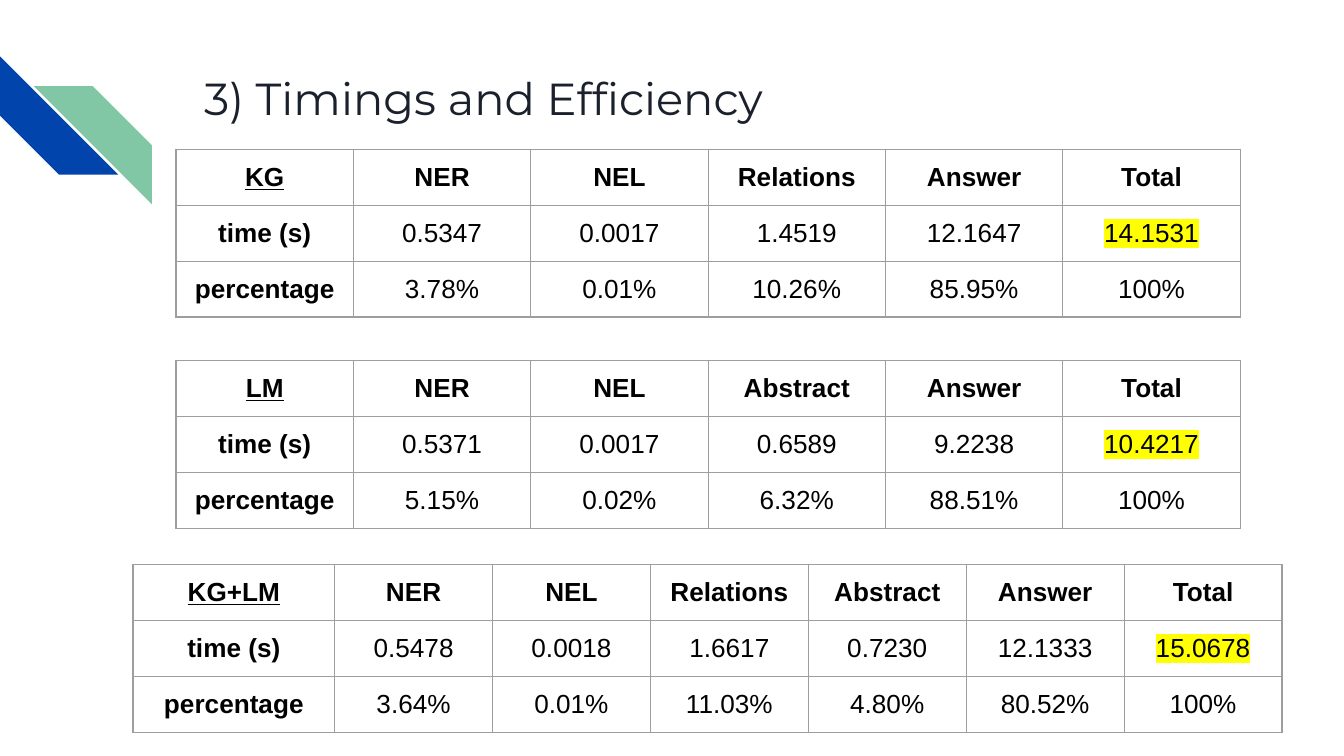
"""Build the timings and efficiency slide with three timing tables."""
from lxml import etree
from pptx import Presentation
from pptx.dml.color import RGBColor
from pptx.enum.shapes import MSO_SHAPE
from pptx.enum.text import MSO_ANCHOR, PP_ALIGN
from pptx.oxml.ns import qn
from pptx.util import Inches, Pt

STRIPE = MSO_SHAPE.DIAGONAL_STRIPE
TOP = MSO_ANCHOR.TOP
LEFT, CENTER = PP_ALIGN.LEFT, PP_ALIGN.CENTER

TITLE = "3) Timings and Efficiency"
TABLES = [
    {"left": 1.31, "top": 1.11, "first": 1.32, "width": 7.92, "rows": [
        ("KG", "NER", "NEL", "Relations", "Answer", "Total"),
        ("time (s)", "0.5347", "0.0017", "1.4519", "12.1647", "14.1531"),
        ("percentage", "3.78%", "0.01%", "10.26%", "85.95%", "100%"),
    ]},
    {"left": 1.31, "top": 2.68, "first": 1.32, "width": 7.92, "rows": [
        ("LM", "NER", "NEL", "Abstract", "Answer", "Total"),
        ("time (s)", "0.5371", "0.0017", "0.6589", "9.2238", "10.4217"),
        ("percentage", "5.15%", "0.02%", "6.32%", "88.51%", "100%"),
    ]},
    {"left": 0.99, "top": 4.2, "first": 1.5, "width": 8.55, "rows": [
        ("KG+LM", "NER", "NEL", "Relations", "Abstract", "Answer", "Total"),
        ("time (s)", "0.5478", "0.0018", "1.6617", "0.7230", "12.1333", "15.0678"),
        ("percentage", "3.64%", "0.01%", "11.03%", "4.80%", "80.52%", "100%"),
    ]},
]
STRIPES = [
    {"left": 0, "top": 0.42, "color": "blue", "rotation": 270, "mirrored": False},
    {"left": 0.25, "top": 0.64, "color": "green", "rotation": 0, "mirrored": True},
]
STRIPE_SIZE = 0.88
TABLE_HEIGHT = 1.25
THEME = {
    "blue": "0145AC", "green": "82C7A5", "border": "9E9E9E", "highlight": "FFFF00",
    "border_width": 0.75,
    "title": {"name": "Montserrat", "size": Pt(24), "color": "1B212C"},
    "cell": {"name": "Arial", "size": Pt(14), "color": "000000"},
}
MARGINS = {f"margin_{side}": Inches(0.1) for side in ("left", "right", "top", "bottom")}
CELL_FORMAT = {**MARGINS, "margin_bottom": Inches(0.08), "vertical_anchor": TOP}
TABLE_FLAGS = {"first_row": False, "horz_banding": False}


def apply(target, values):
    """Set each attribute named in values on the target."""
    for name, value in values.items():
        setattr(target, name, value)


def write(frame, text, style, align, **extra):
    """Write one styled span into a text frame and return it."""
    para = frame.paragraphs[0]
    para.alignment = align
    span = para.add_run()
    span.text = text
    values = {**style, **extra}
    span.font.color.rgb = RGBColor.from_string(values.pop("color"))
    apply(span.font, values)
    return span


def add_color(parent, tag, color):
    """Append a color element of the given tag."""
    holder = etree.SubElement(parent, qn(tag))
    etree.SubElement(holder, qn("a:srgbClr"), val=color)
    return holder


def highlight(span):
    """Mark a span with the highlight color."""
    properties = span._r.get_or_add_rPr()
    marker = add_color(properties, "a:highlight", THEME["highlight"])
    properties.find(qn("a:latin")).addprevious(marker)


def add_borders(cell):
    """Draw the four edges of a cell."""
    properties = cell._tc.get_or_add_tcPr()
    for index, tag in enumerate(("a:lnL", "a:lnR", "a:lnT", "a:lnB")):
        edge = etree.SubElement(properties, qn(tag), w=str(Pt(THEME["border_width"])))
        add_color(edge, "a:solidFill", THEME["border"])
        properties.insert(index, edge)


def add_stripe(page, stripe):
    """Add one diagonal corner stripe."""
    size = Inches(STRIPE_SIZE)
    shape = page.shapes.add_shape(
        STRIPE, Inches(stripe["left"]), Inches(stripe["top"]), size, size)
    shape.shadow.inherit = False
    shape.rotation = stripe["rotation"]
    shape.fill.solid()
    shape.fill.fore_color.rgb = RGBColor.from_string(THEME[stripe["color"]])
    shape.line.fill.background()
    if stripe["mirrored"]:
        shape._element.spPr.find(qn("a:xfrm")).set("flipH", "1")


def add_title(page):
    """Add the slide title."""
    box = page.shapes.add_textbox(Inches(1.42), Inches(0.43), Inches(7.7), Inches(1))
    apply(box.text_frame, {**MARGINS, "word_wrap": True, "vertical_anchor": TOP})
    write(box.text_frame, TITLE, THEME["title"], LEFT)


def add_timings(page, content):
    """Add one table, with bold headings and the total time highlighted."""
    rows = content["rows"]
    last = len(rows[0]) - 1
    other = (content["width"] - content["first"]) / last
    widths = [content["first"]] + [other] * last
    table = page.shapes.add_table(
        len(rows), len(widths), Inches(content["left"]), Inches(content["top"]),
        Inches(content["width"]), Inches(TABLE_HEIGHT)).table
    apply(table, TABLE_FLAGS)
    for column, width in zip(table.columns, widths):
        column.width = Inches(width)
    for r, values in enumerate(rows):
        for c, text in enumerate(values):
            cell = table.cell(r, c)
            apply(cell, CELL_FORMAT)
            cell.fill.background()
            add_borders(cell)
            span = write(cell.text_frame, text, THEME["cell"], CENTER,
                         bold=r == 0 or c == 0, underline=r == c == 0)
            if (r, c) == (1, last):
                highlight(span)


def main():
    """Assemble and save the deck."""
    deck = Presentation()
    deck.slide_width = Inches(10)
    deck.slide_height = deck.slide_width * 9 // 16
    page = deck.slides.add_slide(deck.slide_layouts[6])
    for stripe in STRIPES:
        add_stripe(page, stripe)
    add_title(page)
    for content in TABLES:
        add_timings(page, content)
    deck.save("out.pptx")


if __name__ == "__main__":
    main()
